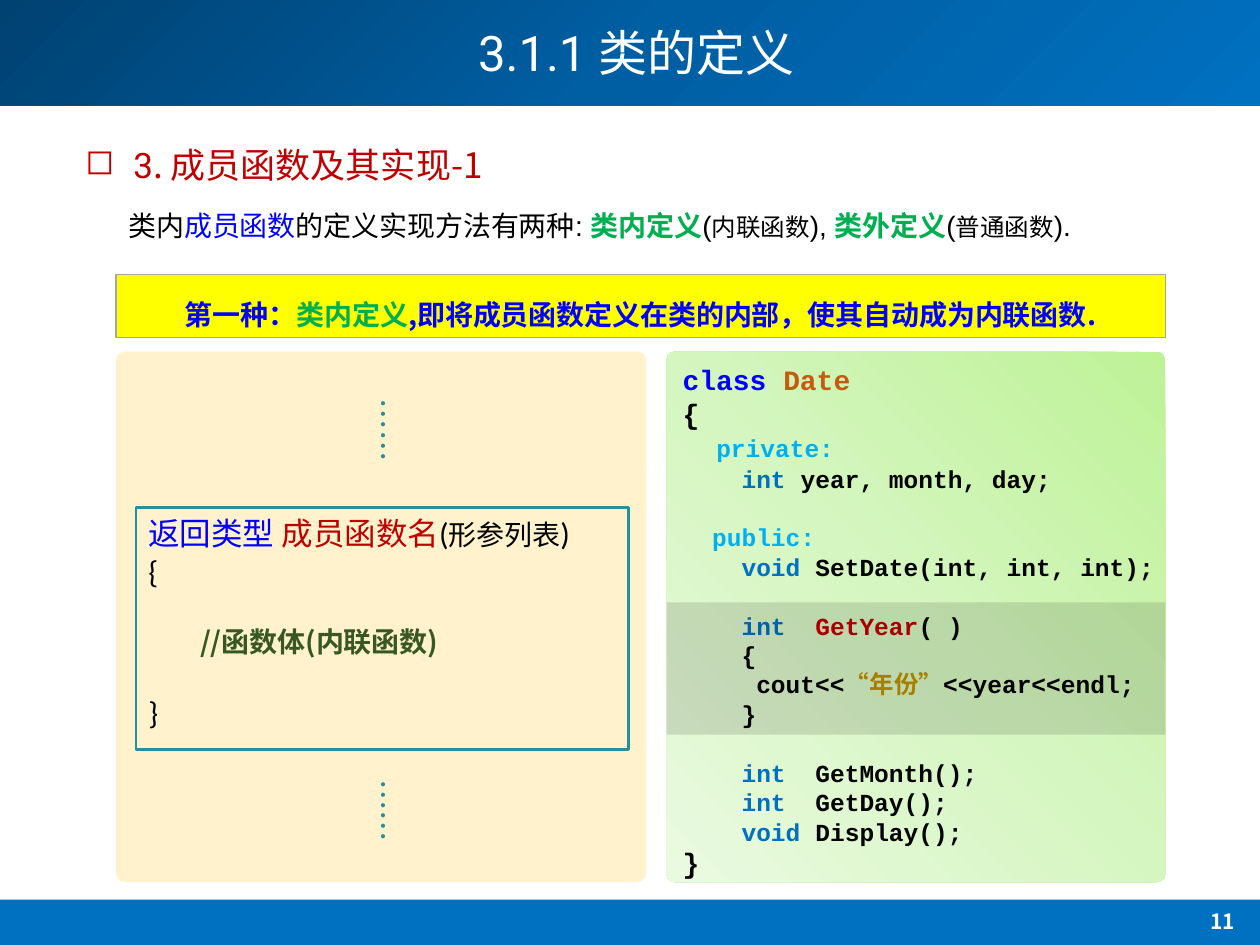
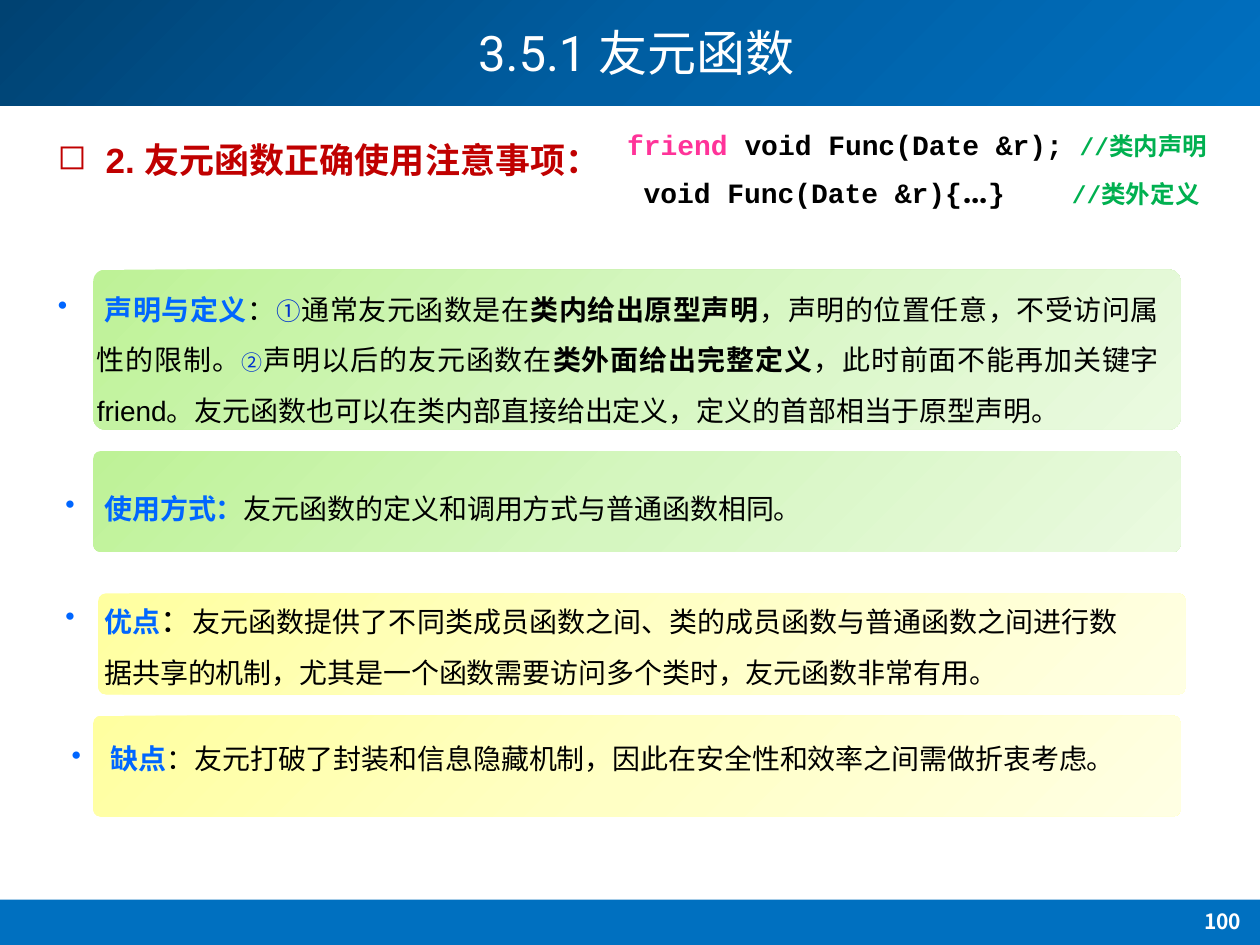
from copy import deepcopy

from lxml.etree import SubElement
from pptx import Presentation
from pptx.dml.color import RGBColor
from pptx.enum.shapes import MSO_SHAPE
from pptx.enum.text import MSO_ANCHOR, MSO_AUTO_SIZE, PP_ALIGN
from pptx.oxml.ns import qn
from pptx.util import Inches, Pt

RECTANGLE, ROUNDED = MSO_SHAPE.RECTANGLE, MSO_SHAPE.ROUNDED_RECTANGLE
TOP, MIDDLE = MSO_ANCHOR.TOP, MSO_ANCHOR.MIDDLE
CENTER, JUSTIFY = PP_ALIGN.CENTER, PP_ALIGN.JUSTIFY
GROW = MSO_AUTO_SIZE.SHAPE_TO_FIT_TEXT

WHITE = RGBColor(0xFF, 0xFF, 0xFF)
BLACK = RGBColor(0x00, 0x00, 0x00)
BAND_BLUE = RGBColor(0x00, 0x70, 0xC0)
RED = RGBColor(0xC0, 0x00, 0x00)
BLUE = RGBColor(0x00, 0x00, 0xFF)
GREEN = RGBColor(0x00, 0xB0, 0x50)
DARK_GREEN = RGBColor(0x38, 0x57, 0x23)
SKY = RGBColor(0x00, 0xB0, 0xF0)
ORANGE = RGBColor(0xC5, 0x5A, 0x11)
GOLD = RGBColor(0xBF, 0x90, 0x00)
PINK = RGBColor(0xFF, 0x33, 0x99)
TEAL = RGBColor(0x22, 0x90, 0x9F)
LABEL_BLUE = RGBColor(0x00, 0x66, 0xFF)
NUMBER_BLUE = RGBColor(0x00, 0x33, 0xCC)
YELLOW = RGBColor(0xFF, 0xFF, 0x00)
GREY = RGBColor(0xA6, 0xA6, 0xA6)
CREAM = RGBColor(0xFF, 0xF2, 0xCC)
BAND_GRADIENT = (RGBColor(0x00, 0x42, 0x72), RGBColor(0x00, 0x5E, 0xA2), BAND_BLUE)
GREEN_GRADIENT = (RGBColor(0xBE, 0xF2, 0x97), RGBColor(0xD5, 0xF6, 0xC0), RGBColor(0xEA, 0xFA, 0xE0))
YELLOW_GRADIENT = (RGBColor(0xFF, 0xFF, 0xA0), RGBColor(0xFF, 0xFF, 0xC5), RGBColor(0xFF, 0xFF, 0xE3))

CJK = "Noto Sans CJK SC"
BODY = {"name": "Arial", "size": Pt(16), "bold": False, "color": BLACK}
STRONG = {"name": CJK, "bold": True}
CODE = {**BODY, "name": "Courier New", "size": Pt(14), "bold": True}
HEADING = {**BODY, "size": Pt(20), "color": RED}
TITLE = {**BODY, "name": "Roboto", "size": Pt(28), "color": WHITE}
PAGE_NUMBER = {**BODY, **STRONG, "size": Pt(12), "color": WHITE}
LABEL = {"color": LABEL_BLUE, "bold": True}
SMALL = {"name": CJK, "size": Pt(14)}
LARGE_CODE = {"size": Pt(16)}
TYPE = {"color": BAND_BLUE}
CODE_GAP = {"space_before": Pt(16.8)}
FORM_GAP = {"space_before": Pt(20)}
PAGE = (0, 0, Inches(10), Inches(7.5))


def part(box, left, top, width, height):
    box_left, box_top, box_width, box_height = box
    return (int(box_left + box_width * left / 100), int(box_top + box_height * top / 100),
            int(box_width * width / 100), int(box_height * height / 100))


def write(shape, paragraphs, style, anchor=TOP):
    frame = shape.text_frame
    frame.vertical_anchor = anchor
    for index, (layout, runs) in enumerate(paragraphs):
        paragraph = frame.add_paragraph() if index else frame.paragraphs[0]
        for attribute, value in layout.items():
            setattr(paragraph, attribute, value)
        for text, changes in runs:
            run = paragraph.add_run()
            run.text = text
            values = {**style, **changes}
            run.font.color.rgb = values.pop("color")
            for attribute, value in values.items():
                setattr(run.font, attribute, value)
            SubElement(run.font._element, qn("a:ea"), typeface=CJK)


def add_text(slide, box, paragraphs, style, wrap=True):
    shape = slide.shapes.add_textbox(*box)
    shape.text_frame.word_wrap = wrap
    shape.text_frame.auto_size = GROW
    write(shape, paragraphs, style)
    return shape


def indent(paragraph, margin, first_line):
    properties = paragraph._p.get_or_add_pPr()
    properties.set("marL", str(Inches(margin)))
    properties.set("indent", str(Inches(first_line)))
    return properties


def add_bullet(shape, symbol, hanging):
    properties = indent(shape.text_frame.paragraphs[0], hanging, -hanging)
    SubElement(properties, qn("a:buChar"), char=symbol)


def add_panel(slide, box, color=None, kind=RECTANGLE, corner=None, gradient=None, angle=45):
    shape = slide.shapes.add_shape(kind, *box)
    shape.shadow.inherit = False
    shape.line.fill.background()
    if corner is not None:
        shape.adjustments[0] = corner
    if gradient:
        shape.fill.gradient()
        shape.fill.gradient_angle = 360 - angle
        stops = shape.element.spPr.find(qn("a:gradFill")).find(qn("a:gsLst"))
        stops.insert(1, deepcopy(stops[0]))
        for index, stop in enumerate(shape.fill.gradient_stops):
            stop.color.rgb = gradient[index]
            stop.position = index / 2
    elif color is None:
        shape.fill.background()
    else:
        shape.fill.solid()
        shape.fill.fore_color.rgb = color
    return shape


def add_page(presentation, section, topic, number):
    slide = presentation.slides.add_slide(presentation.slide_layouts[5])
    add_panel(slide, part(PAGE, 0, 0, 100, 11.2), gradient=BAND_GRADIENT)
    add_panel(slide, part(PAGE, 0, 95.2, 100, 4.8), BAND_BLUE)
    add_text(slide, part(PAGE, 92.3, 95.47, 9.5, 4.8),
             [({"alignment": CENTER}, [(number, {})])], PAGE_NUMBER)
    title = slide.shapes.title
    title.left, title.top, title.width, title.height = part(PAGE, 8.5, 0, 84, 11.87)
    title.element.getparent().append(title.element)
    write(title, [({"alignment": CENTER, "line_spacing": 0.9},
                   [(section + " ", {}), (topic, {"name": CJK})])], TITLE, MIDDLE)
    return slide


def add_heading(slide, box, runs):
    add_bullet(add_text(slide, box, [({}, runs)], HEADING), "◻", 0.38)


def add_introduction(slide, box):
    green = {**STRONG, "color": GREEN}
    add_text(slide, box, [({"line_spacing": 1.5}, [
        ("类内", {}), ("成员函数", {"color": BLUE}), ("的定义实现方法有两种: ", {}),
        ("类内定义", green), ("(", {}), ("内联函数", SMALL), ("), ", {}),
        ("类外定义", green), ("(", {}), ("普通函数", SMALL), (").", {}),
    ])], BODY)


def add_banner(slide, box):
    banner = add_panel(slide, box, YELLOW)
    banner.line.color.rgb = GREY
    banner.line.width = Pt(0.75)
    write(banner, [({"alignment": CENTER, "line_spacing": 1.5}, [
        ("第一种：", {}), ("类内定义", {"color": GREEN}),
        (",即将成员函数定义在类的内部，使其自动成为内联函数.", {}),
    ])], {**BODY, **STRONG, "color": BLUE})


def add_function_form(slide, box):
    add_panel(slide, box, CREAM, ROUNDED, 0.017)
    form = add_panel(slide, part(box, 3.8, 29.45, 92.87, 45.6))
    form.line.color.rgb = TEAL
    form.line.width = Pt(1.5)
    write(form, [
        ({"alignment": PP_ALIGN.LEFT}, [
            ("返回类型 ", {"name": CJK, "color": BLUE}), ("成员函数名", {"color": RED}),
            ("(", {}), ("形参列表", {"name": CJK, "size": Pt(16)}), (")", {})]),
        ({"alignment": PP_ALIGN.LEFT}, [("{", {})]),
        ({"alignment": PP_ALIGN.LEFT, **FORM_GAP},
         [("//函数体(内联函数)", {**STRONG, "size": Pt(16), "color": DARK_GREEN})]),
        ({"alignment": PP_ALIGN.LEFT, **FORM_GAP}, [("}", {})]),
    ], {**BODY, "name": "Calibri", "size": Pt(18)})
    indent(form.text_frame.paragraphs[2], 0.41, 0)
    for top in (10.21, 81.95):
        dots = add_text(slide, part(box, 42.04, top, 16.86, 9.5), [({}, [("……", {})])],
                        {**BODY, "name": CJK, "size": Pt(18), "color": TEAL}, wrap=False)
        dots.rotation = 90


def add_class_code(slide, box):
    add_panel(slide, box, kind=ROUNDED, corner=0.017, gradient=GREEN_GRADIENT, angle=135)
    add_text(slide, part(box, 0.76, 0.95, 109.09, 100.71), [
        ({}, [("class ", {**LARGE_CODE, "color": BLUE}), ("Date", {**LARGE_CODE, "color": ORANGE})]),
        ({}, [("{", LARGE_CODE)]),
        ({}, [("  ", LARGE_CODE), ("private:", {"color": SKY})]),
        ({}, [("    int", TYPE), (" year, month, day;", {})]),
        (CODE_GAP, [("  public:", {"color": SKY})]),
        ({}, [("    void ", TYPE), ("SetDate(int, int, int);", {})]),
        (CODE_GAP, [("    int  ", TYPE), ("GetYear", {"color": RED}), ("( )", {})]),
        ({}, [("    {", {})]),
        ({}, [("     cout<<", {}), ("“", {"color": GOLD}), ("年份", {"name": CJK, "color": GOLD}),
              ("”", {"color": GOLD}), ("<<year<<endl;", {})]),
        ({}, [("    }", {})]),
        (CODE_GAP, [("    int  ", TYPE), ("GetMonth();", {})]),
        ({}, [("    int  ", TYPE), ("GetDay();", {})]),
        ({}, [("    void", TYPE), (" Display();", {})]),
        ({}, [("}", LARGE_CODE)]),
    ], CODE)
    shade = add_panel(slide, part(box, 0, 47.27, 100, 24.94), BLACK)
    color = shade.element.spPr.find(qn("a:solidFill"))[0]
    SubElement(color, qn("a:alpha"), val="12000")


def add_friend_code(slide, box):
    comment = {"size": Pt(14), "color": GREEN}
    add_text(slide, part(box, 0, 0, 100, 83), [({}, [
        ("friend ", {"color": PINK}), ("void Func(Date &r); ", {}), ("//类内声明", comment),
    ])], {**CODE, **LARGE_CODE}, wrap=False)
    definition = add_text(slide, part(box, 2.67, 43, 96.51, 57), [({}, [
        ("void Func(Date &r){", {}), ("…", {"name": "Roboto", "size": Pt(20)}),
        ("}\t", {}), ("//类外定义", comment),
    ])], {**CODE, **LARGE_CODE}, wrap=False)
    properties = definition.text_frame.paragraphs[0]._p.get_or_add_pPr()
    tabs = SubElement(properties, qn("a:tabLst"))
    SubElement(tabs, qn("a:tab"), pos=str(Inches(3.4)), algn="l")


def add_note(slide, box, text_share, gradient, runs, spacing=1.5):
    add_panel(slide, box, kind=ROUNDED, corner=0.074, gradient=gradient)
    layout = {"alignment": JUSTIFY, "line_spacing": spacing}
    add_bullet(add_text(slide, part(box, *text_share), [(layout, runs)], BODY), "•", 0.31)


def build_class_definition(presentation):
    slide = add_page(presentation, "3.1.1", "类的定义", "11")
    add_heading(slide, part(PAGE, 5.8, 14.53, 78.2, 5.87),
                [("3", {"name": "Roboto"}), (". 成员函数及其实现-1", {"name": CJK})])
    add_introduction(slide, part(PAGE, 9.2, 19.6, 83.7, 6.13))
    add_banner(slide, part(PAGE, 9.2, 29.07, 83.3, 6.67))
    add_function_form(slide, part(PAGE, 9.2, 37.2, 42.1, 56.13))
    add_class_code(slide, part(PAGE, 52.9, 37.2, 39.6, 56.13))


def build_friend_function(presentation):
    slide = add_page(presentation, "3.5.1", "友元函数", "100")
    add_heading(slide, part(PAGE, 3.6, 14, 78.2, 5.87),
                [("2. 友元函数正确使用注意事项：", {"bold": True})])
    notes = [
        ((7.4, 28.53, 86.3, 16.93), (-4.4, 0, 103.59, 103.15), GREEN_GRADIENT, [
            (" 声明与定义", LABEL), ("：", {}), ("①", {"size": Pt(14), "color": NUMBER_BLUE}),
            ("通常友元函数是在", {}), ("类内给出原型声明", STRONG),
            ("，声明的位置任意，不受访问属性的限制。", {}),
            ("②", {"size": Pt(12), "color": NUMBER_BLUE}),
            ("声明以后的友元函数在", {}), ("类外面给出完整定义", STRONG),
            ("，此时前面不能再加关键字friend。友元函数也可以在类内部直接给出定义，"
             "定义的首部相当于原型声明。", {})], 1.5),
        ((7.4, 47.73, 86.3, 10.67), (-3.71, 17.5, 109.85, 62.5), GREEN_GRADIENT, [
            ("使用方式：", LABEL), ("友元函数的定义和调用方式与普通函数相同。", {})], 1.5),
        ((7.8, 62.8, 86.3, 10.67), (-4.17, -17.5, 99.19, 115), YELLOW_GRADIENT, [
            ("优点", LABEL), ("：", {"name": "Calibri", "size": Pt(18)}),
            ("友元函数提供了不同类成员函数之间、类的成员函数与普通函数之间进行数据共享的机制，"
             "尤其是一个函数需要访问多个类时，友元函数非常有用。", {})], 1.5),
        ((7.4, 75.73, 86.3, 10.67), (-3.13, 20, 103.01, 46.25), YELLOW_GRADIENT, [
            ("缺点", LABEL),
            ("：友元打破了封装和信息隐藏机制，因此在安全性和效率之间需做折衷考虑。", {})], 1.0),
    ]
    for card_share, text_share, gradient, runs, spacing in notes:
        add_note(slide, part(PAGE, *card_share), text_share, gradient, runs, spacing)
    add_friend_code(slide, part(PAGE, 48.8, 12.8, 48.7, 10.27))


def main():
    presentation = Presentation()
    presentation.slide_width, presentation.slide_height = PAGE[2:]
    build_class_definition(presentation)
    build_friend_function(presentation)
    presentation.save("out.pptx")


if __name__ == "__main__":
    main()
